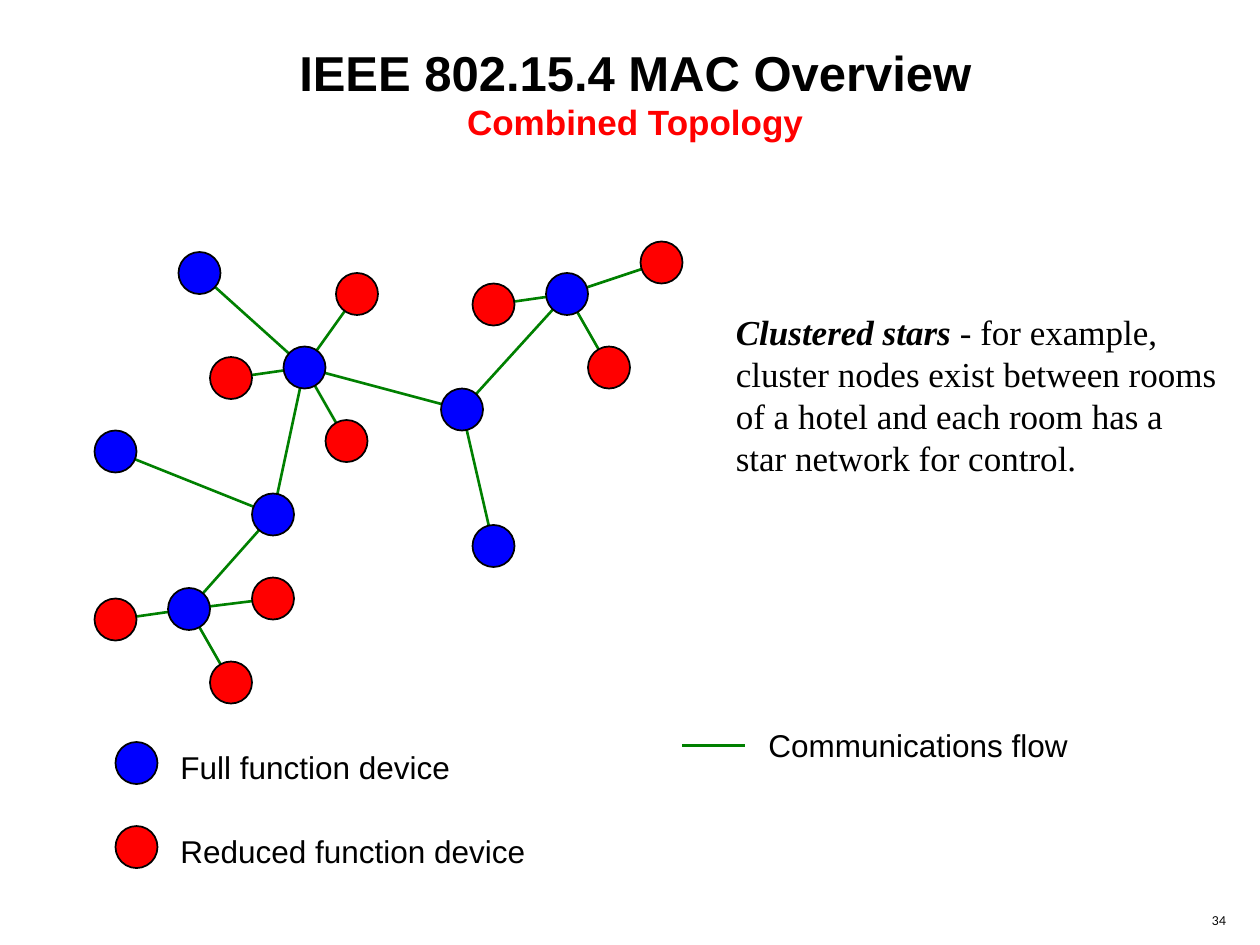
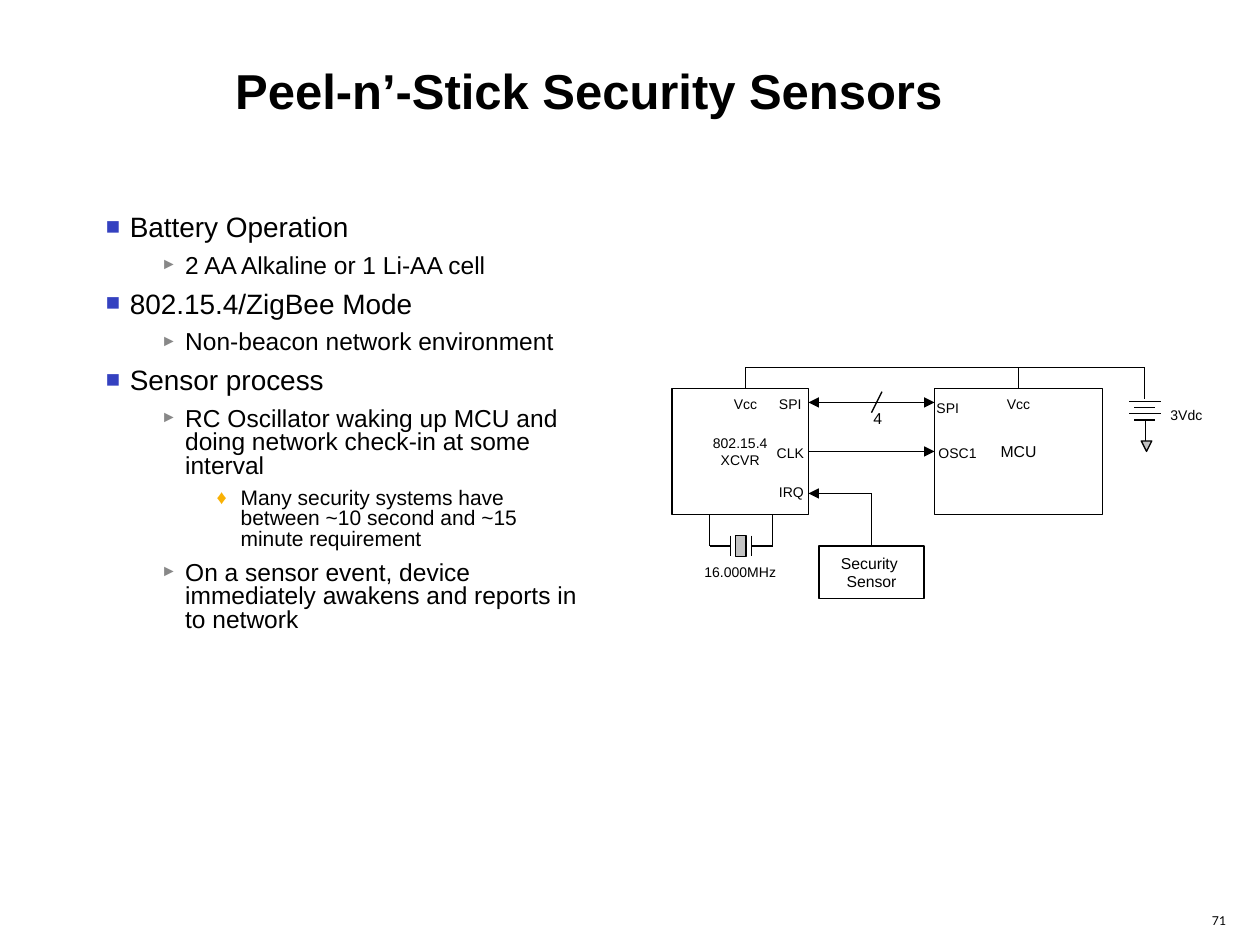
import pptx
import pptx.util
import pptx.dml.color
import pptx.enum.shapes
import pptx.enum.text
import pptx.oxml
import pptx.oxml.ns

COLS, ROWS = 120, 90
WIDE, HIGH = pptx.util.Inches(10), pptx.util.Inches(7.5)
INK = {"text": "000000", "full": "0000FF", "part": "FF0000", "flow": "008000",
       "paper": "FFFFFF", "gray": "C3C3C3", "square": "3441C0",
       "arrow": "888888", "gem": "F9B104"}
KIND = pptx.enum.shapes.MSO_SHAPE
ALIGN = pptx.enum.text.PP_ALIGN
ANCHOR = pptx.enum.text.MSO_ANCHOR

HUBS = {"main": (29, 35), "mid": (26, 49), "east": (44, 39), "south": (47, 52),
        "north": (19, 26), "west": (11, 43), "top": (54, 28), "low": (18, 58)}
LINKS = [("east", "south"), ("west", "mid"), ("main", "mid"), ("low", "mid"),
         ("main", "north"), ("main", "east"), ("east", "top")]
STARS = {"main": [(33, 42), (34, 28), (22, 36)],
         "top": [(58, 35), (63, 25), (47, 29)],
         "low": [(22, 65), (26, 57), (11, 59)]}
LEVELS = [("■", "square", 85, 16, 8), ("►", "arrow", 65, 14, 7),
          ("♦", "gem", 95, 12, 6)]
POINTS = [
    (0, "Battery Operation"),
    (1, "2 AA Alkaline or 1 Li-AA cell"),
    (0, "802.15.4/ZigBee Mode"),
    (1, "Non-beacon network environment"),
    (0, "Sensor process"),
    (1, "RC Oscillator waking up MCU and doing network check-in at some interval"),
    (2, "Many security systems have between ~10 second and ~15 minute requirement"),
    (1, "On a sensor event, device immediately awakens and reports in to network"),
]


def grid(x, y, w=0, h=0):
    return [int(WIDE * x / COLS), int(HIGH * y / ROWS),
            int(WIDE * w / COLS), int(HIGH * h / ROWS)]


def tint(name):
    return pptx.dml.color.RGBColor.from_string(INK[name])


def write(frame, lines, size=18, face="Arial", color="text", bold=False,
          slant=False, align=ALIGN.LEFT, anchor=ANCHOR.TOP, wrap=False):
    frame.word_wrap = wrap
    frame.vertical_anchor = anchor
    frame.auto_size = pptx.enum.text.MSO_AUTO_SIZE.NONE
    for i, line in enumerate(lines):
        para = frame.paragraphs[0] if i == 0 else frame.add_paragraph()
        para.alignment = align
        for part in [line] if isinstance(line, str) else line:
            words, own = (part, {}) if isinstance(part, str) else part
            run = para.add_run()
            run.text = words
            font = run.font
            font.name = face
            font.size = pptx.util.Pt(own.get("size", size))
            font.bold = own.get("bold", bold)
            font.italic = own.get("slant", slant)
            font.color.rgb = tint(own.get("color", color))


def label(slide, spot, *lines, **form):
    box = slide.shapes.add_textbox(*grid(*spot))
    write(box.text_frame, lines, **form)
    return box


def shape(slide, kind, spot, fill, width=0.75):
    item = slide.shapes.add_shape(kind, *grid(*spot))
    item.shadow.inherit = False
    item.fill.solid()
    item.fill.fore_color.rgb = tint(fill)
    item.line.color.rgb = tint("text")
    item.line.width = pptx.util.Pt(width)
    return item


def block(slide, spot, *lines, size=9):
    item = shape(slide, KIND.RECTANGLE, spot, "paper")
    write(item.text_frame, lines, size=size, align=ALIGN.CENTER, anchor=ANCHOR.MIDDLE)
    return item


def wire(slide, start, end, color="text", width=0.75, head=False, tail=False):
    item = slide.shapes.add_connector(pptx.enum.shapes.MSO_CONNECTOR.STRAIGHT,
                                      *grid(*start)[:2], *grid(*end)[:2])
    item.line.color.rgb = tint(color)
    item.line.width = pptx.util.Pt(width)
    stroke = item.line._get_or_add_ln()
    for tag, shown in (("a:headEnd", head), ("a:tailEnd", tail)):
        if shown:
            tip = pptx.oxml.ns.qn(tag)
            stroke.append(stroke.makeelement(tip, {"type": "triangle"}))
    props = item._element.spPr
    props.append(props.makeelement(pptx.oxml.ns.qn("a:effectLst"), {}))
    return item


def trace(slide, *spots):
    for start, end in zip(spots, spots[1:]):
        wire(slide, start, end)


def flow(slide, start, end):
    wire(slide, start, end, color="flow", width=1.5)


def node(slide, spot, color):
    x, y = spot
    shape(slide, KIND.OVAL, (x - 2, y - 2, 4, 4), color, width=1)


def start(deck, number, spot, lines, **form):
    slide = deck.slides.add_slide(deck.slide_layouts[5])
    title = slide.shapes.title
    title.left, title.top, title.width, title.height = grid(*spot)
    write(title.text_frame, lines, size=28, bold=True, wrap=True, **form)
    label(slide, (113.4, 85.7, 5.4, 4), number, size=7, face="Lato", wrap=True,
          align=ALIGN.CENTER, anchor=ANCHOR.MIDDLE)
    return slide


def bullet(para, level):
    mark, color, scale, _, gap = LEVELS[level]
    props = para._p.get_or_add_pPr()
    props.set("marL", str(pptx.util.Inches(0.19 + 0.44 * level)))
    props.set("indent", str(pptx.util.Inches(-0.19)))
    space = pptx.oxml.ns.nsdecls("a")
    for xml in (f'<a:buClr {space}><a:srgbClr val="{INK[color]}"/></a:buClr>',
                f'<a:buSzPct {space} val="{scale * 1000}"/>',
                f'<a:buFont {space} typeface="Arial"/>',
                f'<a:buChar {space} char="{mark}"/>'):
        props.append(pptx.oxml.parse_xml(xml))
    para.level = level
    para.line_spacing = 0.8
    para.space_before = pptx.util.Pt(gap)


def outline(slide, spot, points):
    lines = [[(words, {"size": LEVELS[level][3]})] for level, words in points]
    frame = label(slide, spot, *lines, wrap=True).text_frame
    for para, (level, _) in zip(frame.paragraphs, points):
        bullet(para, level)
    frame.paragraphs[0].space_before = pptx.util.Pt(0)


def network(slide):
    for a, b in LINKS:
        flow(slide, HUBS[a], HUBS[b])
    for hub, leaves in STARS.items():
        for leaf in leaves:
            flow(slide, HUBS[hub], leaf)
            node(slide, leaf, "part")
    for spot in HUBS.values():
        node(slide, spot, "full")


def legend(slide):
    rows = [("full", "Full function device"), ("part", "Reduced function device")]
    for i, (color, words) in enumerate(rows):
        y = 72.67 + 8 * i
        node(slide, (13, y), color)
        label(slide, (16, y - 2, 35, 4.8), words)
    flow(slide, (65, 71), (71, 71))
    label(slide, (72, 68.6, 31, 4.8), "Communications flow")


def chips(slide):
    radio = block(slide, (64, 37, 13, 12), "802.15.4", "XCVR", size=8)
    mcu = block(slide, (89, 37, 16, 12), "MCU")
    sensor = block(slide, (78, 52, 10, 5), "Security ", "Sensor")
    clock = wire(slide, (77, 43), (89, 43), tail=True)
    clock.begin_connect(radio, 3)
    clock.end_connect(mcu, 1)
    wire(slide, (77, 38.33), (89, 38.33), head=True, tail=True)
    wire(slide, (84, 37.3), (83, 39.3))
    wire(slide, (83, 47), (77, 47), tail=True)
    wire(slide, (83, 47), (83, 52)).end_connect(sensor, 0)
    wire(slide, (97, 35), (97, 37)).end_connect(mcu, 0)
    trace(slide, (71, 37), (71, 35), (109, 35), (109, 38))


def crystal(slide):
    shape(slide, KIND.RECTANGLE, (70.05, 51, 1, 2), "gray")
    for plate, leg in ((69.6, 67.6), (71.6, 73.6)):
        wire(slide, (plate, 51), (plate, 53))
        trace(slide, (plate, 52), (leg, 52), (leg, 49))


def battery(slide):
    for i in range(4):
        half = 1 if i % 2 else 1.5
        y = 38.25 + 0.58 * i
        wire(slide, (109.05 - half, y), (109.05 + half, y))
    wire(slide, (109.1, 40), (109.1, 42))
    ground = shape(slide, KIND.ISOSCELES_TRIANGLE, (108.7, 42, 1, 1), "gray")
    ground._element.spPr.xfrm.set("flipV", "1")


def pins(slide):
    for x, y, w, words in ((73, 45.3, 4, "IRQ"), (73, 37, 4, "SPI"),
                           (88, 37.3, 4, "SPI"), (88.2, 41.6, 6, "OSC1"),
                           (72.8, 41.6, 6, "CLK")):
        label(slide, (x, y, w, 3), words, size=8, anchor=ANCHOR.MIDDLE)
    for x, y, w, words in ((69, 37, 4, "Vcc"), (95, 37, 4, "Vcc"),
                           (111, 38, 4, "3Vdc"), (67, 53, 7, "16.000MHz")):
        label(slide, (x, y, w, 3), words, size=8, align=ALIGN.CENTER,
              anchor=ANCHOR.MIDDLE)
    label(slide, (82, 38.3, 4, 3), "4", size=9, anchor=ANCHOR.MIDDLE)


def main():
    deck = pptx.Presentation()
    deck.slide_width, deck.slide_height = WIDE, HIGH

    stars = start(deck, "34", (14, 3.4, 93, 10.8),
                  ["IEEE 802.15.4 MAC Overview",
                   [("Combined Topology", {"size": 20, "color": "part"})]],
                  align=ALIGN.CENTER)
    network(stars)
    legend(stars)
    label(stars, (68.9, 29, 48.2, 17.3),
          [("Clustered stars", {"bold": True, "slant": True}), " - for example,"],
          "cluster nodes exist between rooms", "of a hotel and each room has a",
          "star network for control.", size=20, face="Times New Roman")

    alarm = start(deck, "71", (21.2, 2.5, 96.4, 12.1),
                  ["Peel-n’-Stick Security Sensors"], anchor=ANCHOR.MIDDLE)
    outline(alarm, (8.9, 20, 47.5, 60), POINTS)
    chips(alarm)
    crystal(alarm)
    battery(alarm)
    pins(alarm)
    deck.save("out.pptx")


if __name__ == "__main__":
    main()
